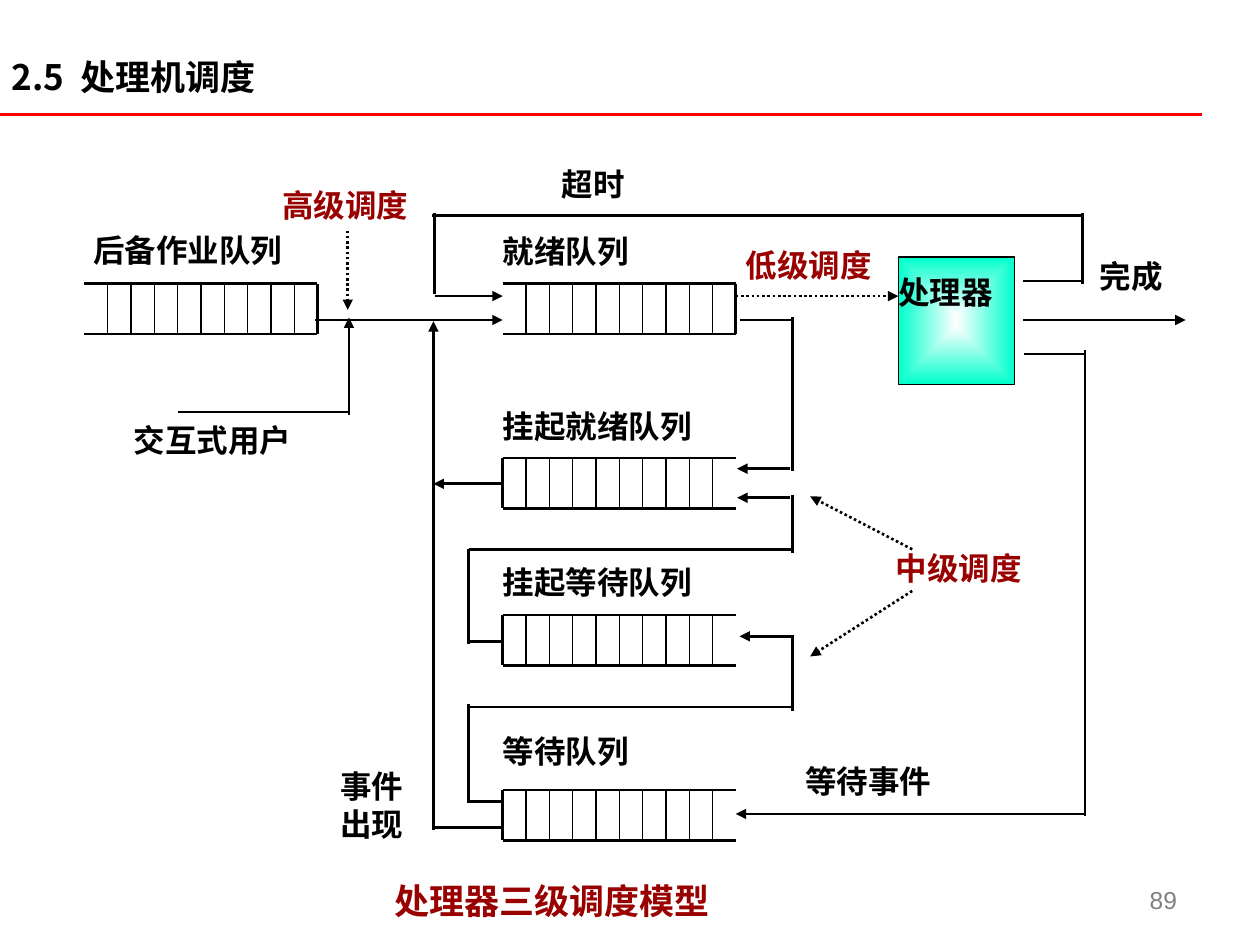
from lxml import etree
from pptx import Presentation
from pptx.dml.color import RGBColor
from pptx.enum.dml import MSO_LINE
from pptx.enum.shapes import MSO_CONNECTOR, MSO_SHAPE
from pptx.enum.text import MSO_ANCHOR, MSO_AUTO_SIZE, PP_ALIGN
from pptx.oxml import parse_xml
from pptx.oxml.ns import nsdecls, qn
from pptx.util import Inches, Pt

STRAIGHT = MSO_CONNECTOR.STRAIGHT
DOTTED = MSO_LINE.ROUND_DOT
RECT = MSO_SHAPE.RECTANGLE
TOP, MIDDLE, BOTTOM = MSO_ANCHOR.TOP, MSO_ANCHOR.MIDDLE, MSO_ANCHOR.BOTTOM
LEFT, RIGHT = PP_ALIGN.LEFT, PP_ALIGN.RIGHT
CJK = "Noto Sans CJK SC"
COLORS = {"black": "000000", "white": "FFFFFF", "dark_red": "990000",
          "red": "FF0000", "gray": "808080", "mint": "00FFCC"}

prs = Presentation()
prs.slide_width, prs.slide_height = Inches(10), Inches(7.5)
s = prs.slides.add_slide(prs.slide_layouts[5])


def write(sp, text, size=18, font=CJK, color="black", bold=True, align=LEFT,
          anchor=TOP, insets=(0, 0, 0, 0), wrap=True):
    """Fill a shape with text, one paragraph per line; insets are left, top, right, bottom."""
    tf = sp.text_frame
    tf.auto_size = MSO_AUTO_SIZE.NONE
    tf.word_wrap = wrap
    tf.vertical_anchor = anchor
    tf.margin_left, tf.margin_top, tf.margin_right, tf.margin_bottom = map(Inches, insets)
    tf.text = text
    for p in tf.paragraphs:
        p.alignment = align
        for r in p.runs:
            r.font.size, r.font.bold, r.font.name = Pt(size), bold, font
            r.font.color.rgb = RGBColor.from_string(COLORS[color])
            ea = etree.SubElement(r.font._element, qn("a:ea"))
            ea.set("typeface", CJK)


def line(x1, y1, x2, y2, width=1.5, color="black", arrow=False, dotted=False):
    """Draw a straight line, with an optional arrowhead at its second point."""
    cn = s.shapes.add_connector(STRAIGHT, Inches(x1), Inches(y1), Inches(x2), Inches(y2))
    cn.line.width = Pt(width)
    cn.line.color.rgb = RGBColor.from_string(COLORS[color])
    if dotted:
        cn.line.dash_style = DOTTED
    if arrow:
        etree.SubElement(cn.line._get_or_add_ln(), qn("a:tailEnd")).set("type", "triangle")
    etree.SubElement(cn._element.spPr, qn("a:effectLst"))


# Heading and rule
title = s.shapes.title
title.left, title.top, title.width, title.height = map(Inches, (0, 0.44, 5.78, 0.34))
title.fill.solid()
title.fill.fore_color.rgb = RGBColor.from_string(COLORS["white"])
write(title, "2.5  处理机调度", size=20, anchor=MIDDLE,
      insets=(0.09, 0.04, 0.09, 0.04), wrap=False)
line(0, 0.91, 9.54, 0.91, color="red")

# Queues: left, top, closed side
QUEUE_W, QUEUE_H, SLOTS = 1.85, 0.4, 10
queues = [
    (0.67, 2.25, "right"),
    (3.99, 2.25, "right"),
    (3.99, 3.635, "left"),
    (3.99, 4.88, "left"),
    (3.99, 6.27, "left"),
]
for x, y, closed in queues:
    for edge in (y, y + QUEUE_H):
        line(x, edge, x + QUEUE_W, edge)
    end = x if closed == "left" else x + QUEUE_W
    line(end, y, end, y + QUEUE_H)
    for i in range(1, SLOTS):
        slot_x = x + i * QUEUE_W / SLOTS
        line(slot_x, y, slot_x, y + QUEUE_H, width=0.75)

# Processor with a gradient spreading from its centre
cpu = s.shapes.add_shape(RECT, Inches(7.13), Inches(2.04), Inches(0.92), Inches(1.01))
cpu.shadow.inherit = False
cpu.line.color.rgb = RGBColor.from_string(COLORS["black"])
cpu.line.width = Pt(0.75)
gradient = parse_xml(
    f'<a:gradFill {nsdecls("a")} rotWithShape="1"><a:gsLst>'
    f'<a:gs pos="0"><a:srgbClr val="{COLORS["white"]}"/></a:gs>'
    f'<a:gs pos="100000"><a:srgbClr val="{COLORS["mint"]}"/></a:gs></a:gsLst>'
    '<a:path path="rect"><a:fillToRect l="50000" t="50000" r="50000" b="50000"/></a:path>'
    '</a:gradFill>')
cpu._element.spPr.find(qn("a:prstGeom")).addnext(gradient)
write(cpu, "处理器", insets=(0, 0.13, 0, 0.05))

# Plain segments of the paths
segments = [
    # timeout, back to the ready queue
    (8.12, 2.23, 8.6, 2.23), (8.59, 2.25, 8.59, 1.69),
    (8.6, 1.71, 3.43, 1.71), (3.45, 1.69, 3.45, 2.33),
    # waiting for an event
    (8.13, 2.81, 8.61, 2.81), (8.61, 2.78, 8.61, 6.48),
    # ready to suspended ready
    (5.87, 2.54, 6.29, 2.54), (6.29, 2.52, 6.29, 3.74),
    # suspended waiting to suspended ready
    (3.99, 5.09, 3.72, 5.09), (3.72, 5.11, 3.72, 4.36),
    (3.72, 4.36, 6.29, 4.36), (6.29, 4.39, 6.29, 3.93),
    # waiting to suspended waiting
    (3.99, 6.36, 3.72, 6.36), (3.72, 6.37, 3.72, 5.59),
    (3.72, 5.61, 6.29, 5.61), (6.29, 5.64, 6.29, 5.04),
    # event occurs, interactive users
    (3.99, 6.57, 3.44, 6.57), (1.41, 3.27, 2.77, 3.27),
]
for points in segments:
    line(*points)

arrows = [
    (2.5, 2.54, 3.99, 2.54), (3.45, 2.35, 3.99, 2.35), (8.12, 2.54, 9.41, 2.54),
    (6.27, 3.72, 5.85, 3.72), (6.27, 3.95, 5.85, 3.95), (6.29, 5.05, 5.87, 5.05),
    (8.61, 6.46, 5.84, 6.46), (3.44, 6.59, 3.44, 2.55), (3.99, 3.84, 3.44, 3.84),
    (2.77, 3.29, 2.77, 2.52),
]
for points in arrows:
    line(*points, arrow=True)

scheduling_arrows = [
    (2.76, 1.83, 2.76, 2.46), (5.84, 2.35, 7.13, 2.35),
    (7.24, 4.36, 6.43, 3.94), (7.24, 4.69, 6.43, 5.21),
]
for points in scheduling_arrows:
    line(*points, arrow=True, dotted=True)

# Labels: text, left, top, width, height, format
framed = {"insets": (0.1, 0.05, 0.1, 0.05)}
level = {"color": "dark_red"}
labels = [
    ("高级调度", 2.24, 1.48, 1.07, 0.48, level),
    ("低级调度", 5.92, 1.95, 1.13, 0.3, level),
    ("中级调度", 7.11, 4.36, 1.08, 0.42, level),
    ("后备作业队列", 0.74, 1.83, 1.76, 0.42, {}),
    ("就绪队列", 3.99, 1.84, 1.85, 0.41, {}),
    ("挂起就绪队列", 3.99, 3.23, 1.85, 0.4, {}),
    ("挂起等待队列", 3.99, 4.47, 1.85, 0.4, {}),
    ("等待队列", 3.99, 5.81, 1.85, 0.4, {}),
    ("超时", 4.46, 1.31, 3.1, 0.4, {}),
    ("完成", 8.73, 2.04, 0.68, 0.5, {}),
    ("等待事件", 6.39, 6.05, 1.66, 0.4, {}),
    ("交互式用户", 1.06, 3.34, 1.29, 0.42, {}),
    ("事件\n出现", 2.7, 6.09, 0.74, 0.81, {}),
    ("处理器三级调度模型", 3.03, 6.8, 6.14, 0.7,
     {**framed, **level, "size": 20, "font": "Times New Roman", "anchor": MIDDLE}),
    ("89", 7.36, 6.81, 2.08, 0.5,
     {**framed, "size": 14, "font": "Arial", "color": "gray", "bold": False,
      "align": RIGHT, "anchor": BOTTOM}),
]
for text, x, y, w, h, style in labels:
    write(s.shapes.add_textbox(Inches(x), Inches(y), Inches(w), Inches(h)), text, **style)

prs.save("out.pptx")
